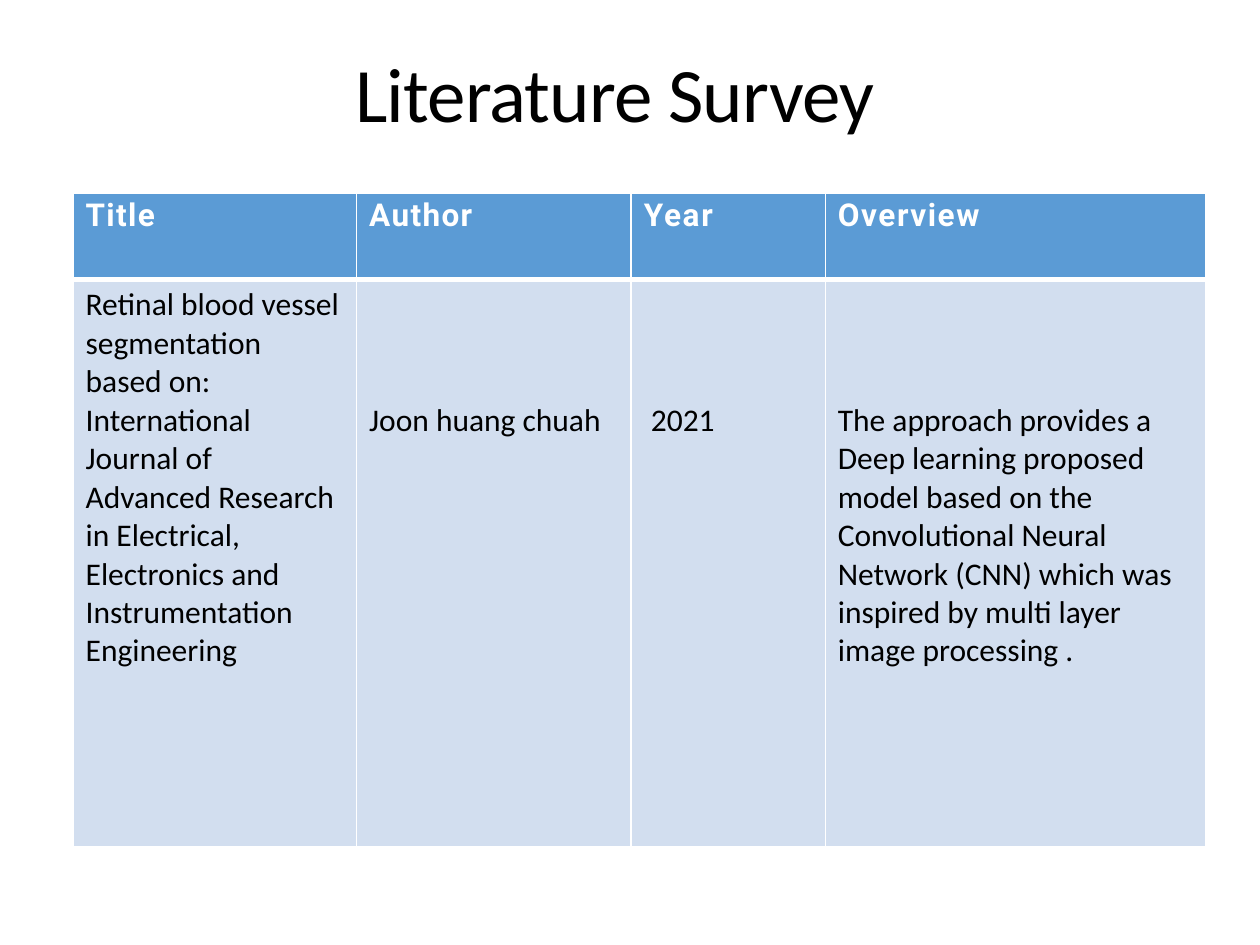
import pptx
import pptx.dml.color
import pptx.enum.text
import pptx.oxml
import pptx.oxml.ns
import pptx.util
from lxml import etree

RGBColor = pptx.dml.color.RGBColor
Inches = pptx.util.Inches
BLACK = RGBColor(0x00, 0x00, 0x00)
WHITE = RGBColor(0xFF, 0xFF, 0xFF)
HEADER_BLUE = RGBColor(0x5B, 0x9B, 0xD5)
BODY_BLUE = RGBColor(0xD2, 0xDE, 0xEF)

COLUMN_WIDTHS = (2.25, 2.18, 1.54, 3.02)
ROW_HEIGHTS = (0.69, 4.5)
LINE_HEIGHT = 0.305
BODY_MARGIN = 0.05

# heading, letter spacing in points
HEADINGS = (("Title", 0.8), ("Author", 0.8), ("Year", 1), ("Overview", 0.9))
# paragraphs, lines left free above them
ENTRY = (
    (("Retinal blood vessel segmentation based on:",
      "International Journal of Advanced Research in Electrical, "
      "Electronics and Instrumentation Engineering"), 0),
    (("Joon huang chuah",), 3),
    ((" 2021",), 3),
    (("The approach provides a Deep learning proposed model based on the "
      "Convolutional Neural Network (CNN) which was inspired by multi layer "
      "image processing .",), 3),
)


def write(paragraph, text, *, font="Calibri", size=18, color=BLACK,
          bold=False, spacing=0, line_spacing=None):
    paragraph.alignment = pptx.enum.text.PP_ALIGN.LEFT
    if line_spacing:
        paragraph.line_spacing = line_spacing
    run = paragraph.add_run()
    run.text = text
    run.font.name = font
    run.font.size = pptx.util.Pt(size)
    run.font.color.rgb = color
    run.font.bold = bold
    run.font._element.set("spc", str(round(spacing * 100)))


def format_cell(cell, fill, margin_top, bottom=1, top=1):
    """Fill the cell and give it white borders, widths in points."""
    cell.margin_top = Inches(margin_top)
    properties = cell._tc.get_or_add_tcPr()
    for side, width in (("L", 1), ("R", 1), ("T", top), ("B", bottom)):
        line = etree.SubElement(properties, pptx.oxml.ns.qn(f"a:ln{side}"),
                                w=str(pptx.util.Pt(width)))
        solid = etree.SubElement(line, pptx.oxml.ns.qn("a:solidFill"))
        etree.SubElement(solid, pptx.oxml.ns.qn("a:srgbClr"), val=str(WHITE))
    cell.fill.solid()
    cell.fill.fore_color.rgb = fill


def add_title(slide, left, top, width, height):
    title = slide.shapes.title
    title.left, title.top = Inches(left), Inches(top)
    title.width, title.height = Inches(width), Inches(height)
    frame = title.text_frame
    frame.word_wrap = True
    frame.auto_size = pptx.enum.text.MSO_AUTO_SIZE.NONE
    frame.vertical_anchor = pptx.enum.text.MSO_ANCHOR.TOP
    write(frame.paragraphs[0], "Literature Survey", size=44,
          spacing=-0.5, line_spacing=0.92)


def add_survey_table(slide, left, top):
    frame = slide.shapes.add_table(
        len(ROW_HEIGHTS), len(COLUMN_WIDTHS), Inches(left), Inches(top),
        Inches(sum(COLUMN_WIDTHS)), Inches(sum(ROW_HEIGHTS)))
    table = frame.table
    for column, width in zip(table.columns, COLUMN_WIDTHS):
        column.width = Inches(width)
    for row, height in zip(table.rows, ROW_HEIGHTS):
        row.height = Inches(height)

    for cell, (heading, spacing) in zip(table.rows[0].cells, HEADINGS):
        format_cell(cell, HEADER_BLUE, 0.04, bottom=3)
        write(cell.text_frame.paragraphs[0], heading, font="Roboto",
              color=WHITE, bold=True, spacing=spacing)

    for cell, (texts, free_lines) in zip(table.rows[1].cells, ENTRY):
        format_cell(cell, BODY_BLUE, BODY_MARGIN + free_lines * LINE_HEIGHT, top=3)
        text_frame = cell.text_frame
        for index, text in enumerate(texts):
            paragraph = text_frame.add_paragraph() if index else text_frame.paragraphs[0]
            write(paragraph, text)


def main():
    presentation = pptx.Presentation()
    presentation.slide_width = Inches(10)
    presentation.slide_height = Inches(7.5)
    slide = presentation.slides.add_slide(
        presentation.slide_layouts.get_by_name("Title Only"))
    add_title(slide, 2.72, 0.38, 5, 0.78)
    add_survey_table(slide, 0.58, 1.53)
    presentation.save("out.pptx")


if __name__ == "__main__":
    main()
